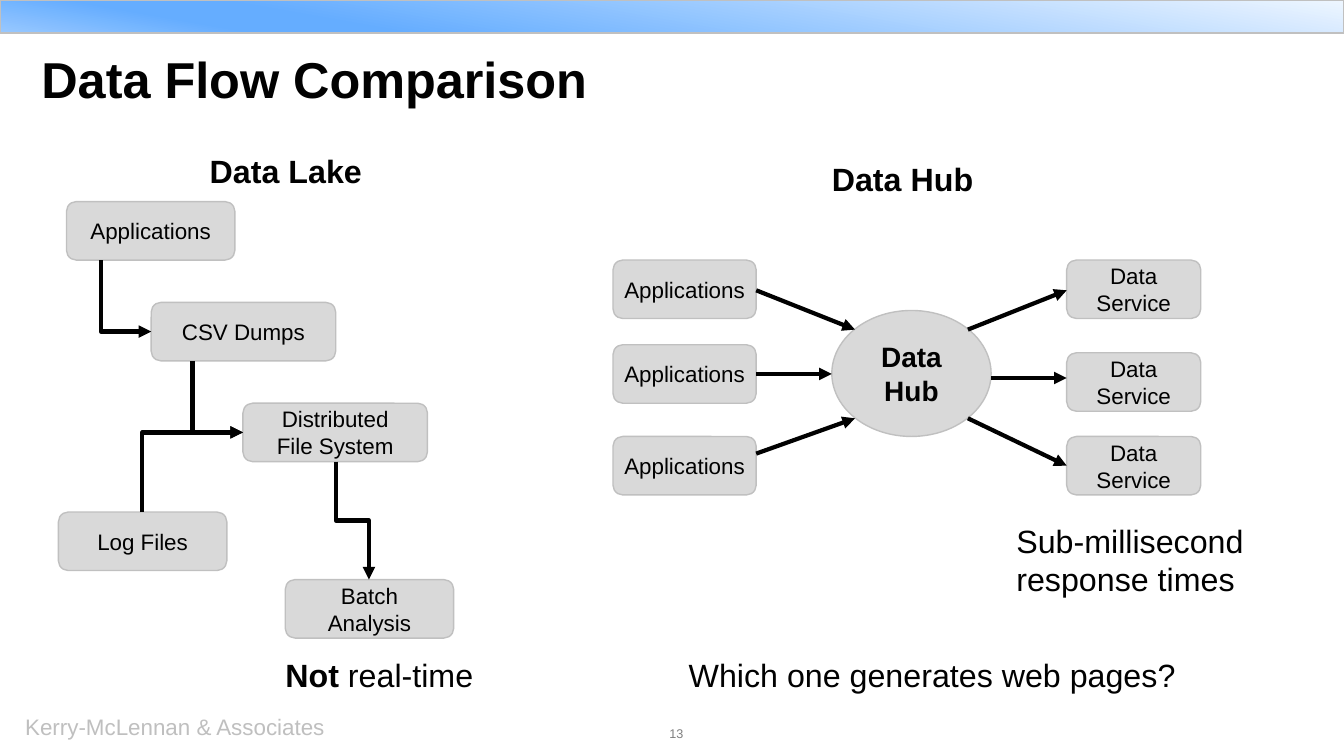
import pptx
import pptx.util
import pptx.dml.color
import pptx.enum.shapes
import pptx.enum.text
import pptx.oxml
import pptx.oxml.ns
from lxml import etree

Inches = pptx.util.Inches
Pt = pptx.util.Pt
SHAPE = pptx.enum.shapes.MSO_SHAPE
CONNECTOR = pptx.enum.shapes.MSO_CONNECTOR
ALIGN = pptx.enum.text.PP_ALIGN
ANCHOR = pptx.enum.text.MSO_ANCHOR
qn = pptx.oxml.ns.qn

INK, BOX_FILL, BOX_LINE = "010101", "D9D9D9", "C0C0C0"
BOX_HEIGHT = 0.58

TITLE = "Data Flow Comparison"
BAND_STOPS = [(0, "EEF6FF"), (74, "65ADFF"), (83, "65ADFF"), (100, "98C8FF")]
BAND_ANGLE = 100

LAKE_STEPS = [
    ("Applications", 0.66, 2, 1.67),
    ("CSV Dumps", 1.5, 3, 1.83),
    ("Distributed File System", 2.41, 4, 1.83),
    ("Log Files", 0.58, 5.08, 1.67),
    ("Batch Analysis", 2.83, 5.75, 1.67),
]
LAKE_FLOWS = [
    ((1, 2.58), (1.5, 3.29), "bentConnector2"),
    ((1.91, 3.58), (2.41, 4.29), "bentConnector2"),
    ((1.41, 5.08), (2.41, 4.29), "bentConnector2"),
    ((3.33, 4.58), (3.66, 5.75), "bentConnector3"),
]
HUB_SOURCES = ("Applications", 6.08, 1.42, 0, [2.58, 3.42, 4.33])
HUB_SERVICES = ("Data Service", 10.58, 1.33, 0.2, [2.58, 3.5, 4.33])
HUB = (["Data", "Hub"], (8.25, 3.08, 1.58, 1.25))
HUB_FLOWS = [
    ((7.5, 2.88), (8.48, 3.27)),
    ((7.5, 3.71), (8.25, 3.71)),
    ((7.5, 4.5), (8.48, 4.15)),
    ((9.6, 3.27), (10.58, 2.88)),
    ((9.83, 3.75), (10.58, 3.75)),
    ((9.6, 4.15), (10.58, 4.62)),
]
LABELS = [
    ([("Data Lake", True)], (2.08, 1.5, 1.52, 0.39), False),
    ([("Data Hub", True)], (8.25, 1.58, 1.42, 0.39), False),
    ([("Not", True), (" real-time", False)], (2.83, 6.5, 1.88, 0.39), False),
    ([("Sub-millisecond response times", False)], (10.08, 5.17, 2.42, 0.77), True),
    ([("Which one generates web pages?", False)], (6.83, 6.5, 4.88, 0.39), False),
]
FOOTERS = [
    ("Kerry-McLennan & Associates", (0.25, 7.08, 2.88, 0.27), 16, "BFBFBF"),
    ("13", (6.64, 7.2, 5.53, 0.3), 9, "808080"),
]


def color(hex_value):
    return pptx.dml.color.RGBColor.from_string(hex_value)


def write(frame, paragraphs, size=16, ink=INK, align=ALIGN.LEFT, anchor=ANCHOR.TOP,
          insets=(0, 0), wrap=True, line_spacing=None):
    frame.auto_size = pptx.enum.text.MSO_AUTO_SIZE.NONE
    frame.word_wrap = wrap
    frame.vertical_anchor = anchor
    frame.margin_left = frame.margin_right = Inches(insets[0])
    frame.margin_top = frame.margin_bottom = Inches(insets[1])
    for index, runs in enumerate(paragraphs):
        paragraph = frame.add_paragraph() if index else frame.paragraphs[0]
        paragraph.alignment = align
        if line_spacing:
            paragraph.line_spacing = line_spacing
        for words, bold in runs:
            run = paragraph.add_run()
            run.text = words
            run.font.name = "Arial"
            run.font.size = Pt(size)
            run.font.bold = bold
            run.font.color.rgb = color(ink)


def add_node(slide, kind, place, paragraphs, inset=0.2, size=16):
    node = slide.shapes.add_shape(kind, *map(Inches, place))
    node.shadow.inherit = False
    node.fill.solid()
    node.fill.fore_color.rgb = color(BOX_FILL)
    node.line.color.rgb = color(BOX_LINE)
    node.line.width = Pt(1)
    write(node.text_frame, paragraphs, size=size, align=ALIGN.CENTER,
          anchor=ANCHOR.MIDDLE, insets=(inset, 0.1))


def add_label(slide, place, runs, **text_format):
    label = slide.shapes.add_textbox(*map(Inches, place))
    write(label.text_frame, [runs], **text_format)


def add_arrow(slide, kind, start, end):
    arrow = slide.shapes.add_connector(kind, *map(Inches, start + end))
    arrow.line.color.rgb = color(INK)
    arrow.line.width = Pt(3)
    etree.SubElement(arrow.line._get_or_add_ln(), qn("a:tailEnd"), type="triangle")
    etree.SubElement(arrow._element.spPr, qn("a:effectLst"))
    return arrow


def add_elbow(slide, start, end, bend):
    middle_x, middle_y = (start[0] + end[0]) / 2, (start[1] + end[1]) / 2
    half_width, half_height = abs(end[1] - start[1]) / 2, abs(end[0] - start[0]) / 2
    downward = end[1] > start[1]
    rise = -half_height if downward else half_height
    elbow = add_arrow(slide, CONNECTOR.ELBOW,
                      (middle_x + half_width, middle_y + rise),
                      (middle_x - half_width, middle_y - rise))
    properties = elbow._element.spPr
    properties.find(qn("a:xfrm")).set("rot", str((270 if downward else 90) * 60000))
    properties.find(qn("a:prstGeom")).set("prst", bend)


def add_band(slide):
    band = slide.shapes.add_shape(SHAPE.RECTANGLE, 0, 0, Inches(13.33), Inches(0.33))
    band.shadow.inherit = False
    band.line.color.rgb = color(BOX_LINE)
    band.line.width = Pt(1)
    band.fill.gradient()
    gradient = band._element.spPr.find(qn("a:gradFill"))
    stops = gradient.find(qn("a:gsLst"))
    for stop in list(stops):
        stops.remove(stop)
    for position, hex_value in BAND_STOPS:
        stop = etree.SubElement(stops, qn("a:gs"), pos=str(position * 1000))
        etree.SubElement(stop, qn("a:srgbClr"), val=hex_value)
    direction = gradient.find(qn("a:lin"))
    direction.set("ang", str(BAND_ANGLE * 60000))
    direction.set("scaled", "0")


def main():
    deck = pptx.Presentation()
    deck.slide_width, deck.slide_height = Inches(13.33), Inches(7.5)
    slide = deck.slides.add_slide(deck.slide_layouts[5])

    title = slide.shapes.title
    title.left, title.top, title.width, title.height = map(Inches, (0.41, 0.52, 5.92, 0.64))
    write(title.text_frame, [[(TITLE, True)]], size=36, line_spacing=Pt(40))
    add_band(slide)

    for words, place, size, ink in FOOTERS:
        add_label(slide, place, [(words, False)], size=size, ink=ink, wrap=False)
    for runs, place, wrap in LABELS:
        add_label(slide, place, runs, size=23, wrap=wrap)

    for words, left, top, width in LAKE_STEPS:
        add_node(slide, SHAPE.ROUNDED_RECTANGLE, (left, top, width, BOX_HEIGHT),
                 [[(words, False)]])
    for start, end, bend in LAKE_FLOWS:
        add_elbow(slide, start, end, bend)

    for words, left, width, inset, tops in (HUB_SOURCES, HUB_SERVICES):
        for top in tops:
            add_node(slide, SHAPE.ROUNDED_RECTANGLE, (left, top, width, BOX_HEIGHT),
                     [[(words, False)]], inset=inset)
    hub_lines, hub_place = HUB
    add_node(slide, SHAPE.OVAL, hub_place, [[(line, True)] for line in hub_lines], size=20)
    for start, end in HUB_FLOWS:
        add_arrow(slide, CONNECTOR.STRAIGHT, start, end)

    deck.save("out.pptx")


if __name__ == "__main__":
    main()
